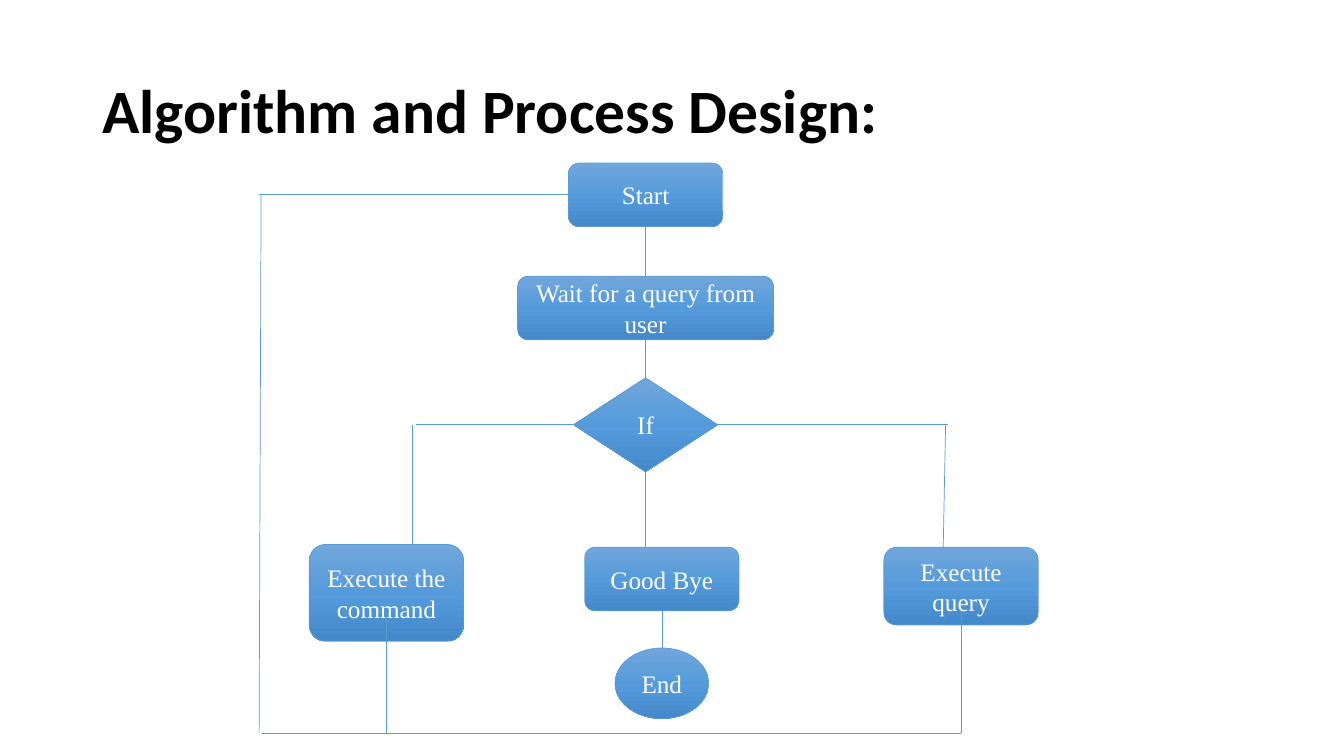
from copy import deepcopy

from pptx import Presentation
from pptx.dml.color import RGBColor
from pptx.enum.shapes import MSO_CONNECTOR, MSO_SHAPE
from pptx.enum.text import MSO_ANCHOR, MSO_AUTO_SIZE, PP_ALIGN
from pptx.oxml.ns import qn
from pptx.oxml.xmlchemy import OxmlElement
from pptx.util import Cm, Pt

ROUNDED = MSO_SHAPE.ROUNDED_RECTANGLE
DIAMOND = MSO_SHAPE.DIAMOND
OVAL = MSO_SHAPE.OVAL
STRAIGHT = MSO_CONNECTOR.STRAIGHT
LINE_COLOR = "5B9BD5"
GRADIENT = [(0, "71A6DB"), (0.5, "559BDB"), (1, "448ACA")]


def color(value):
    return RGBColor.from_string(value)


def write(box, text, size, font, fill, bold=False, align=PP_ALIGN.LEFT, spacing=1.0):
    frame = box.text_frame
    frame.word_wrap = True
    frame.auto_size = MSO_AUTO_SIZE.NONE
    frame.vertical_anchor = MSO_ANCHOR.MIDDLE
    para = frame.paragraphs[0]
    para.alignment = align
    para.line_spacing = spacing
    span = para.add_run()
    span.text = text
    span.font.size = Pt(size)
    span.font.name = font
    span.font.bold = bold
    span.font.color.rgb = color(fill)


deck = Presentation()
deck.slide_width, deck.slide_height = Cm(33.87), Cm(19.05)
page = deck.slides.add_slide(deck.slide_layouts[5])

# Title
title = page.shapes.title
title.left, title.top, title.width, title.height = Cm(2.33), Cm(1.01), Cm(29.21), Cm(3.68)
write(title, "Algorithm and Process Design:", 44, "Calibri", "000000", bold=True, spacing=0.9)

# Flowchart steps: text, shape, center, top, width, height
middle, end_x, command_x, query_x = 16.27, 16.68, 9.74, 24.22
steps = [
    ("Start", ROUNDED, middle, 4.11, 3.89, 1.6),
    ("Wait for a query from user", ROUNDED, middle, 6.96, 6.45, 1.6),
    ("If", DIAMOND, middle, 9.52, 3.63, 2.37),
    ("Execute the command", ROUNDED, command_x, 13.72, 3.89, 2.44),
    ("Execute query", ROUNDED, query_x, 13.79, 3.89, 1.96),
    ("Good Bye", ROUNDED, end_x, 13.79, 3.89, 1.6),
    ("End", OVAL, end_x, 16.33, 2.36, 1.78),
]
flowchart = page.shapes.add_group_shape()
for text, kind, center, top, width, height in steps:
    step = flowchart.shapes.add_shape(
        kind, Cm(center - width / 2), Cm(top), Cm(width), Cm(height))
    step.shadow.inherit = False
    step.fill.gradient()
    step.fill.gradient_angle = 270  # counter-clockwise, so top to bottom
    first_stop = step._element.spPr.find(".//" + qn("a:gs"))
    first_stop.addnext(deepcopy(first_stop))
    for stop, (position, shade) in zip(step.fill.gradient_stops, GRADIENT):
        stop.position = position
        stop.color.rgb = color(shade)
    step.line.color.rgb = color(LINE_COLOR)
    step.line.width = Pt(0.5)
    write(step, text, 18, "Times New Roman", "FFFFFF", align=PP_ALIGN.CENTER)

# Connecting lines: from x, y to x, y
branch_y, return_y = 10.7, 18.47
links = [
    # Down the middle
    (middle, 5.71, middle, 6.96),
    (middle, 8.56, middle, 9.52),
    (middle, 11.89, middle, 13.79),
    (end_x, 15.39, end_x, 16.33),
    # Branches from the decision
    (14.45, branch_y, 10.49, branch_y),
    (10.39, branch_y, 10.39, 13.72),
    (18.08, branch_y, 23.88, branch_y),
    (23.83, branch_y, 23.77, 13.79),
    # Return to the start
    (command_x, 15.39, command_x, return_y),
    (query_x, 15.39, query_x, return_y),
    (command_x, return_y, query_x, return_y),
    (9.83, return_y, 6.6, return_y),
    (6.58, 4.91, 6.53, return_y),
    (14.33, 4.91, 6.53, 4.91),
]
for ends in links:
    link = flowchart.shapes.add_connector(STRAIGHT, *[Cm(value) for value in ends])
    link.line.color.rgb = color(LINE_COLOR)
    link.line.width = Pt(0.5)
    link._element.spPr.append(OxmlElement("a:effectLst"))

deck.save("out.pptx")
